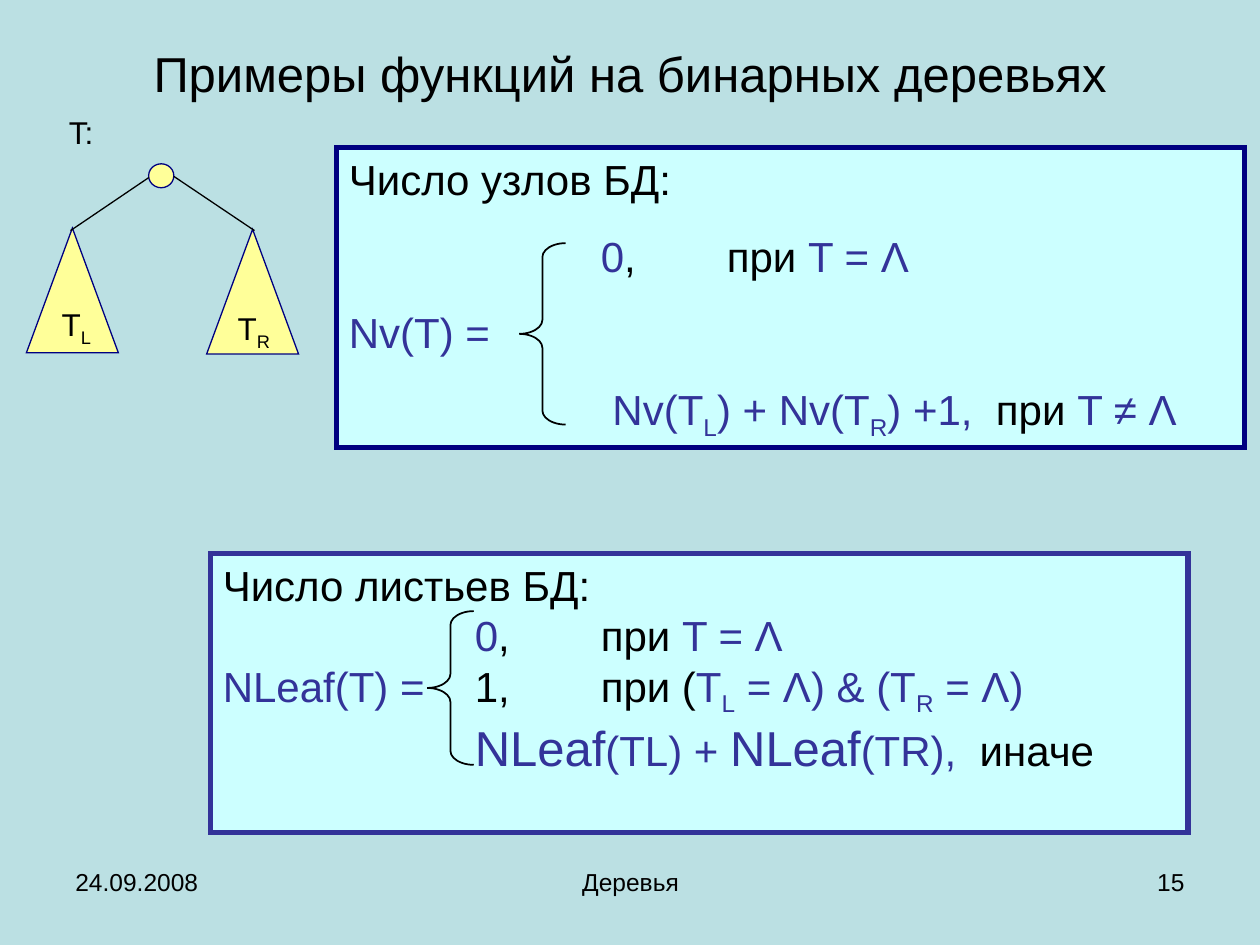
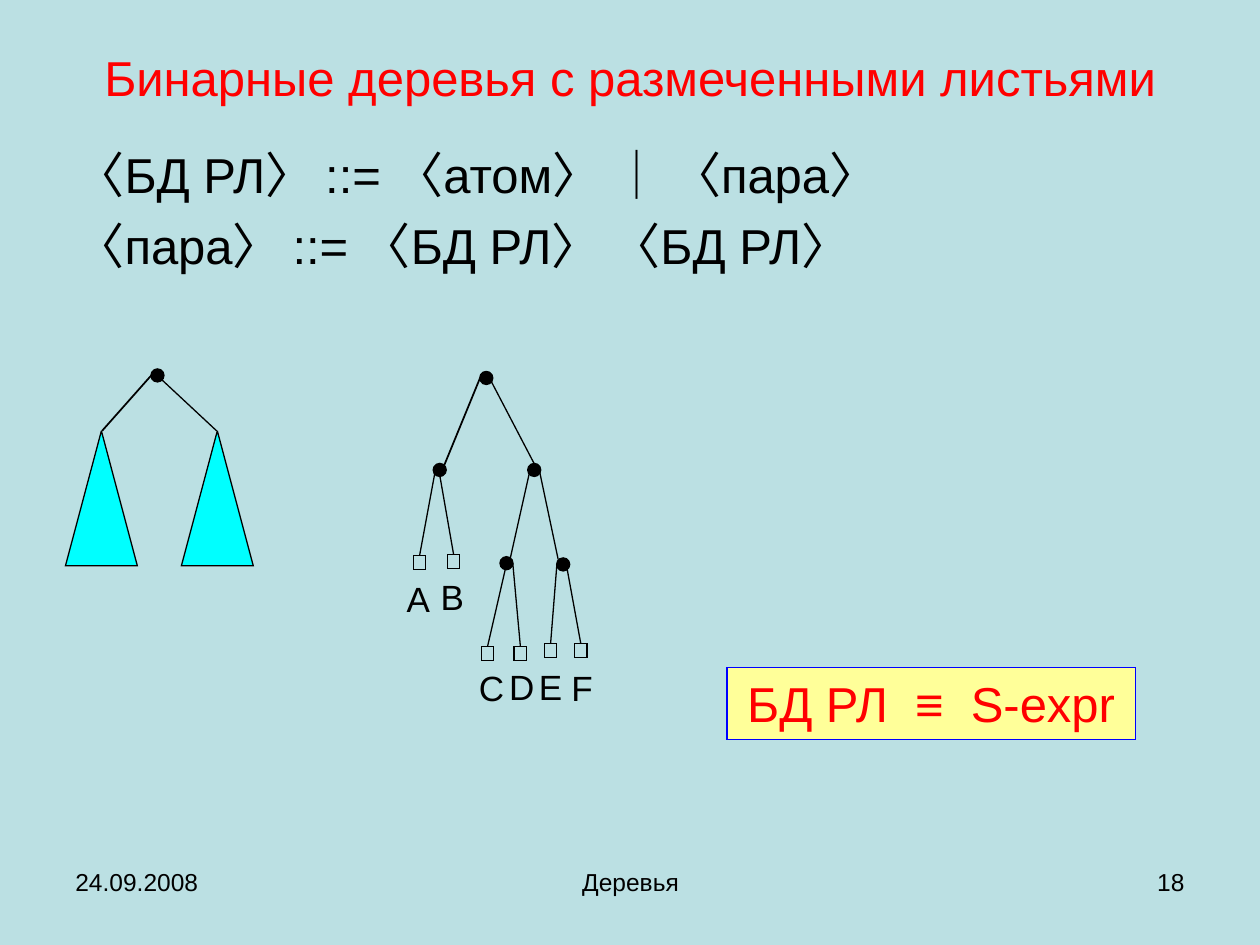
from dataclasses import dataclass
from typing import Any, NamedTuple, Optional

from lxml import etree
from pptx import Presentation
from pptx.dml.color import RGBColor
from pptx.enum import shapes, text
from pptx.oxml.ns import qn
from pptx.util import Emu, Inches, Pt

COLUMNS, ROWS = 10, 7.5
SLIDE_WIDTH, SLIDE_HEIGHT = Inches(10), Inches(7.5)
SHAPE, ALIGN, ANCHOR = shapes.MSO_SHAPE, text.PP_ALIGN, text.MSO_ANCHOR


@dataclass(frozen=True)
class Theme:
    font: str = "Arial"
    background: str = "BBE0E3"
    ink: str = "000000"
    formula: str = "333399"
    accent: str = "FF0000"
    navy: str = "000080"
    blue: str = "0000FF"
    panel: str = "CCFFFF"
    yellow: str = "FFFF99"
    cyan: str = "00FFFF"
    heading: int = 28
    body: int = 24
    leaf: int = 20
    label: int = 18
    footer: int = 14
    thin: float = 0.75
    medium: float = 1
    thick: float = 3


THEME = Theme()


class Box(NamedTuple):
    """Place and size in grid columns and rows."""
    left: float
    top: float
    width: float
    height: float


class Point(NamedTuple):
    column: float
    row: float


class Run(NamedTuple):
    text: str
    color: str = THEME.ink
    size: Optional[int] = None
    subscript: bool = False


class Edge(NamedTuple):
    start: Point
    end: Point
    weight: float = THEME.thin


class Leaf(NamedTuple):
    letter: str
    corner: Point
    label: Point
    parent: Point


class Footer(NamedTuple):
    box: Box
    align: Any


def math(words: str, size: Optional[int] = None) -> Run:
    return Run(words, THEME.formula, size)


def sub(words: str, color: str = THEME.formula) -> Run:
    return Run(words, color, None, True)


PAD = (0.1, 0.05)
TIGHT_PAD = (0.02, 0.01)
LEAF_PAD = (0, 0.01)
DATE = Footer(Box(0.5, 6.83, 2.33, 0.52), ALIGN.LEFT)
TOPIC = Footer(Box(3.42, 6.83, 3.17, 0.52), ALIGN.CENTER)
NUMBER = Footer(Box(7.17, 6.83, 2.33, 0.52), ALIGN.RIGHT)

NODE_COUNT = [
    [Run("Число узлов БД:")],
    [math("\t\t0"), Run(", \tпри "), math("T = Λ")],
    [math("Nv(T) =")],
    [Run("\t\t "), math("Nv(T"), sub("L"), math(") + Nv(T"), sub("R"),
     math(") +1,"), Run("  при "), math("T ≠ Λ")],
]
LEAF_COUNT = [
    [Run("Число листьев БД:")],
    [math("\t\t0"), Run(", \tпри "), math("T = Λ")],
    [math("NLeaf(T) = \t"), Run("1,\tпри ("), math("T"), sub("L"),
     math(" = Λ) & (T"), sub("R"), math(" = Λ)")],
    [Run("\t\t"), math("NLeaf", THEME.heading), math("(TL) + "),
     math("NLeaf", THEME.heading), math("(TR),"), Run("  иначе")],
]
GRAMMAR = [
    [Run("〈БД РЛ〉 ::= 〈атом〉 │ 〈пара〉")],
    [Run("〈пара〉 ::= 〈БД РЛ〉 〈БД РЛ〉")],
]

DOT = 0.1
DOTS = [Point(3.81, 2.95), Point(3.44, 3.68), Point(4.19, 3.68),
        Point(3.97, 4.42), Point(4.42, 4.43)]
INNER_EDGES = [
    Edge(Point(3.89, 3.01), Point(4.24, 3.68)),
    Edge(Point(3.81, 3), Point(3.49, 3.78), THEME.medium),
    Edge(Point(4.2, 3.76), Point(4.05, 4.43)),
    Edge(Point(4.28, 3.73), Point(4.43, 4.44)),
]
LEAVES = [
    Leaf("А", Point(3.28, 4.41), Point(3.22, 4.57), Point(3.45, 3.76)),
    Leaf("B", Point(3.55, 4.4), Point(3.49, 4.56), Point(3.49, 3.77)),
    Leaf("C", Point(3.82, 5.13), Point(3.8, 5.28), Point(4.01, 4.52)),
    Leaf("D", Point(4.08, 5.13), Point(4.04, 5.27), Point(4.07, 4.47)),
    Leaf("E", Point(4.32, 5.11), Point(4.27, 5.27), Point(4.42, 4.48)),
    Leaf("F", Point(4.56, 5.11), Point(4.52, 5.28), Point(4.5, 4.51)),
]


def across(columns: float) -> Emu:
    return Emu(round(SLIDE_WIDTH * columns / COLUMNS))


def down(rows: float) -> Emu:
    return Emu(round(SLIDE_HEIGHT * rows / ROWS))


def to_emu(box: Box) -> tuple[Emu, Emu, Emu, Emu]:
    return across(box.left), down(box.top), across(box.width), down(box.height)


def apply(target: Any, values: dict[str, Any]) -> None:
    for name, value in values.items():
        setattr(target, name, value)


def write(shape: Any, paragraphs: list[list[Run]], size: int, align: Any = ALIGN.LEFT,
          anchor: Any = ANCHOR.TOP, pad: tuple[float, float] = PAD,
          space_before: float = 0) -> None:
    frame = shape.text_frame
    side, edge = across(pad[0]), down(pad[1])
    apply(frame, dict(word_wrap=True, auto_size=text.MSO_AUTO_SIZE.NONE,
                      vertical_anchor=anchor, margin_left=side, margin_right=side,
                      margin_top=edge, margin_bottom=edge))
    for index, runs in enumerate(paragraphs):
        paragraph = frame.paragraphs[0] if index == 0 else frame.add_paragraph()
        apply(paragraph, dict(alignment=align, space_before=Pt(space_before)))
        apply_indent(paragraph._p.get_or_add_pPr())
        for item in runs:
            run = paragraph.add_run()
            run.text = item.text
            apply(run.font, dict(name=THEME.font, size=Pt(item.size or size)))
            run.font.color.rgb = RGBColor.from_string(item.color)
            if item.subscript:
                run._r.get_or_add_rPr().set("baseline", "-25000")


def apply_indent(properties: Any) -> None:
    """Remove bullet and indent, and put a tab stop on every column."""
    for name, value in dict(marL=0, indent=0, defTabSz=across(1)).items():
        properties.set(name, str(int(value)))
    etree.SubElement(properties, qn("a:buNone"))
    stops = etree.SubElement(properties, qn("a:tabLst"))
    for column in range(8):
        etree.SubElement(stops, qn("a:tab"), pos=str(int(across(column))), algn="l")


def add_figure(slide: Any, kind: Any, box: Box, fill: Optional[str] = None,
               line: str = THEME.ink, weight: float = THEME.thin) -> Any:
    shape = slide.shapes.add_shape(kind, *to_emu(box))
    shape.shadow.inherit = False
    if fill:
        shape.fill.solid()
        shape.fill.fore_color.rgb = RGBColor.from_string(fill)
    else:
        shape.fill.background()
    shape.line.color.rgb = RGBColor.from_string(line)
    shape.line.width = Pt(weight)
    outline = shape._element.spPr.find(qn("a:ln"))
    etree.SubElement(outline, qn("a:miter"), lim="800000")
    return shape


def add_edge(slide: Any, edge: Edge) -> Any:
    connector = slide.shapes.add_connector(
        shapes.MSO_CONNECTOR.STRAIGHT, across(edge.start.column), down(edge.start.row),
        across(edge.end.column), down(edge.end.row))
    connector.line.color.rgb = RGBColor.from_string(THEME.ink)
    connector.line.width = Pt(edge.weight)
    etree.SubElement(connector._element.spPr, qn("a:effectLst"))
    return connector


def add_label(slide: Any, box: Box, runs: list[Run], size: int, align: Any = ALIGN.CENTER,
              pad: tuple[float, float] = PAD) -> None:
    write(slide.shapes.add_textbox(*to_emu(box)), [runs], size, align, pad=pad)


def add_brace(slide: Any, box: Box) -> None:
    brace = add_figure(slide, SHAPE.LEFT_BRACE, box, weight=THEME.medium)
    brace.adjustments[0] = 0.3


def fill_placeholder(shape: Any, box: Box, paragraphs: list[list[Run]], **style: Any) -> None:
    apply(shape, dict(zip(("left", "top", "width", "height"), to_emu(box))))
    write(shape, paragraphs, THEME.heading, **style)


def add_slide(presentation: Any, layout: int, title: Run, title_height: float,
              number: str) -> Any:
    slide = presentation.slides.add_slide(presentation.slide_layouts[layout])
    fill_placeholder(slide.shapes.title, Box(0.5, 0.3, 9, title_height), [[title]],
                     align=ALIGN.CENTER, anchor=ANCHOR.MIDDLE)
    for footer, words in ((TOPIC, "Деревья"), (NUMBER, number), (DATE, "24.09.2008")):
        add_label(slide, footer.box, [Run(words)], THEME.footer, footer.align)
    return slide


def build_functions_slide(presentation: Any) -> None:
    slide = add_slide(presentation, 5, Run("Примеры функций на бинарных деревьях"), 0.56, "15")
    for box in (Box(0.21, 1.81, 0.73, 0.99), Box(1.64, 1.82, 0.73, 0.99)):
        add_figure(slide, SHAPE.ISOSCELES_TRIANGLE, box, THEME.yellow, THEME.navy)
    add_figure(slide, SHAPE.OVAL, Box(1.18, 1.3, 0.2, 0.19), THEME.yellow, THEME.navy)
    add_edge(slide, Edge(Point(1.18, 1.41), Point(0.56, 1.83)))
    add_edge(slide, Edge(Point(2.02, 1.83), Point(1.38, 1.4)))
    for box, runs in ((Box(0.48, 0.89, 0.33, 0.32), [Run("T:")]),
                      (Box(0.44, 2.41, 0.33, 0.36), [Run("T"), sub("L", THEME.ink)]),
                      (Box(1.79, 2.44, 0.45, 0.36), [Run("T"), sub("R", THEME.ink)])):
        add_label(slide, box, runs, THEME.label, pad=TIGHT_PAD)
    for box, line, paragraphs, space, brace in (
            (Box(2.67, 1.17, 7.21, 2.38), THEME.navy, NODE_COUNT, 15,
             Box(4.12, 1.93, 0.37, 1.44)),
            (Box(1.67, 4.39, 7.76, 2.22), THEME.formula, LEAF_COUNT, 0,
             Box(3.39, 4.85, 0.37, 1.22))):
        panel = add_figure(slide, SHAPE.RECTANGLE, box, THEME.panel, line, THEME.thick)
        write(panel, paragraphs, THEME.body, space_before=space)
        add_brace(slide, brace)


def build_labelled_leaves_slide(presentation: Any) -> None:
    slide = add_slide(presentation, 1,
                      Run("Бинарные деревья с размеченными листьями", THEME.accent), 0.62, "18")
    fill_placeholder(slide.placeholders[1], Box(0.5, 1.1, 9, 1.24), GRAMMAR, space_before=7)

    for left in (0.52, 1.44):
        add_figure(slide, SHAPE.ISOSCELES_TRIANGLE, Box(left, 3.42, 0.57, 1.07), THEME.cyan)
    for dot in [Point(1.2, 2.93), *DOTS]:
        add_figure(slide, SHAPE.OVAL, Box(*dot, DOT, DOT), THEME.ink, weight=THEME.medium)
    for edge in [Edge(Point(1.2, 2.98), Point(0.81, 3.42), THEME.medium),
                 Edge(Point(1.28, 3.01), Point(1.72, 3.42)), *INNER_EDGES]:
        add_edge(slide, edge)
    for leaf in LEAVES:
        square = add_figure(slide, SHAPE.RECTANGLE, Box(*leaf.corner, DOT, 0.11))
        add_edge(slide, Edge(leaf.parent, leaf.corner)).end_connect(square, 0)
        add_label(slide, Box(*leaf.label, 0.2, 0.36), [Run(leaf.letter)], THEME.leaf,
                  pad=LEAF_PAD)

    summary = add_figure(slide, SHAPE.RECTANGLE, Box(5.77, 5.3, 3.24, 0.57),
                         THEME.yellow, THEME.blue)
    write(summary, [[Run("БД РЛ  ≡  S-expr", THEME.accent)]], THEME.heading, ALIGN.CENTER)


def main() -> None:
    presentation = Presentation()
    apply(presentation, dict(slide_width=SLIDE_WIDTH, slide_height=SLIDE_HEIGHT))
    background = presentation.slide_master.background.fill
    background.solid()
    background.fore_color.rgb = RGBColor.from_string(THEME.background)
    build_functions_slide(presentation)
    build_labelled_leaves_slide(presentation)
    presentation.save("out.pptx")


if __name__ == "__main__":
    main()
